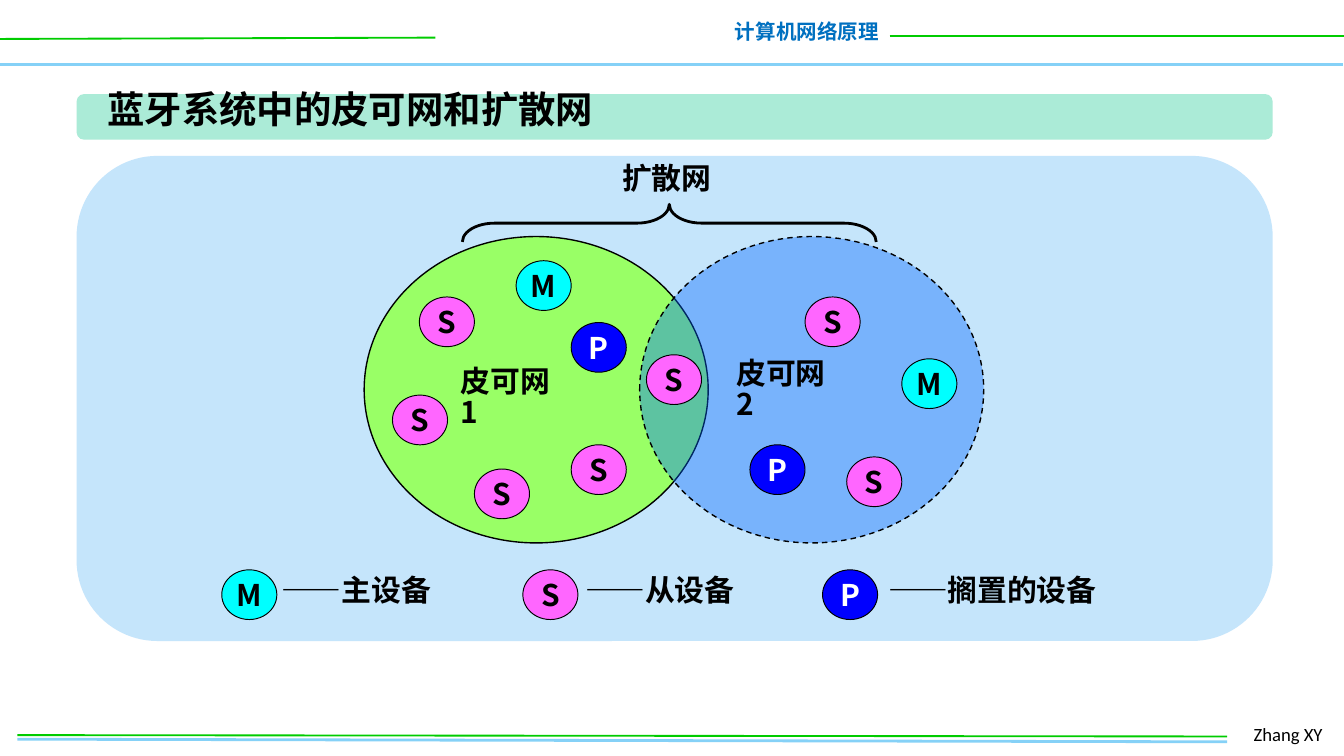
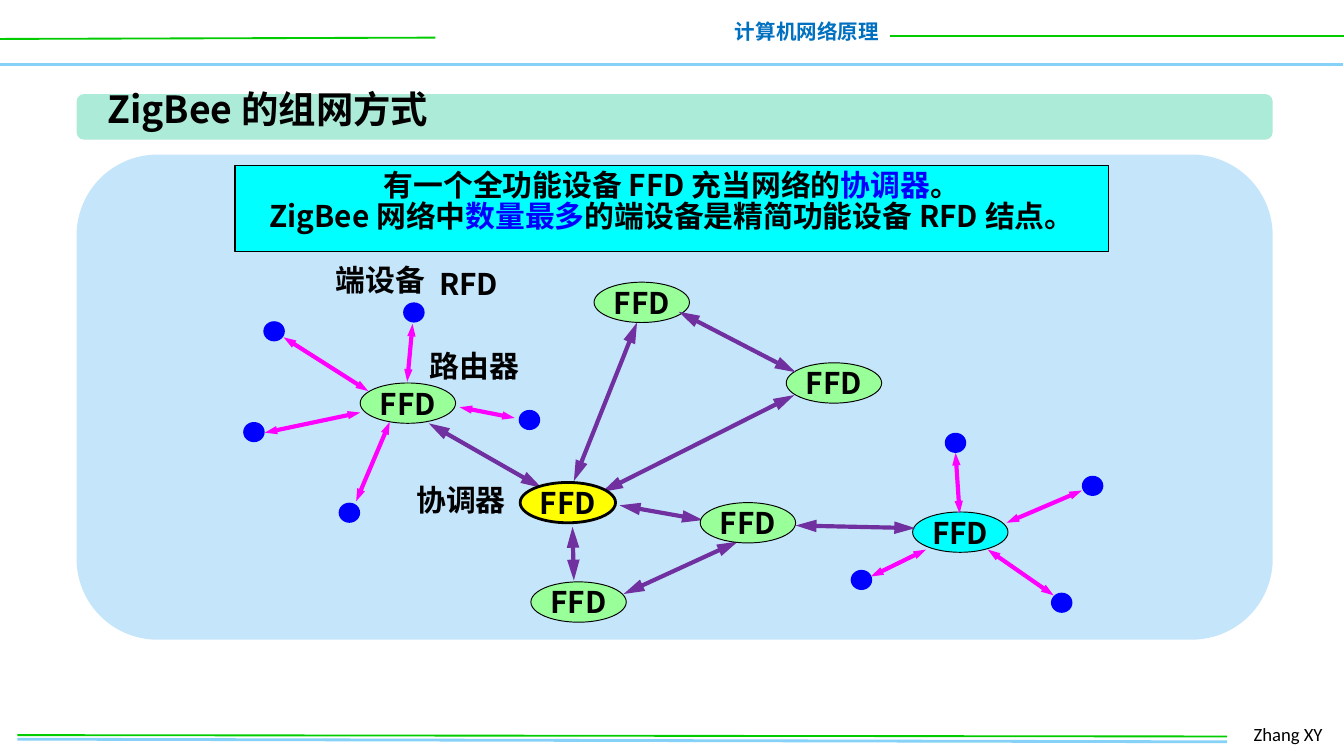
from dataclasses import dataclass

import lxml.etree
import pptx
import pptx.dml.color
import pptx.enum.dml
import pptx.enum.shapes
import pptx.enum.text
import pptx.oxml
import pptx.oxml.ns
import pptx.presentation
import pptx.shapes.autoshape
import pptx.slide
import pptx.text.text
import pptx.util

RGBColor = pptx.dml.color.RGBColor
Shape = pptx.enum.shapes.MSO_SHAPE
Align = pptx.enum.text.PP_ALIGN
Anchor = pptx.enum.text.MSO_ANCHOR
qn = pptx.oxml.ns.qn

EMU_PER_PX = 9144  # 100 px to the inch
BODY_FONT = "Noto Sans CJK SC"
FOOTER_FONT = "Calibri"
BODY_SIZE = 16
LINE_SPACING = 0.86

BLACK = RGBColor(0x00, 0x00, 0x00)
WHITE = RGBColor(0xFF, 0xFF, 0xFF)
BLUE = RGBColor(0x00, 0x00, 0xFF)
CYAN = RGBColor(0x00, 0xFF, 0xFF)
PINK = RGBColor(0xFF, 0x66, 0xFF)
MAGENTA = RGBColor(0xFF, 0x00, 0xFF)
PURPLE = RGBColor(0x70, 0x30, 0xA0)
YELLOW = RGBColor(0xFF, 0xFF, 0x00)
NODE_GREEN = RGBColor(0x99, 0xFF, 0x99)
PICONET_GREEN = RGBColor(0x99, 0xFF, 0x66)
PICONET_BLUE = RGBColor(0x00, 0x66, 0xFF)
RULE_GREEN = RGBColor(0x00, 0xCC, 0x00)
RULE_BLUE = RGBColor(0x85, 0xD1, 0xF7)
COURSE_BLUE = RGBColor(0x00, 0x70, 0xC0)
TITLE_BAND = RGBColor(0xAB, 0xEB, 0xD7)
PANEL_BLUE = RGBColor(0xC5, 0xE5, 0xFB)


@dataclass(frozen=True)
class Box:
    left: int
    top: int
    width: int
    height: int


@dataclass(frozen=True)
class Line:
    x1: int
    y1: int
    x2: int
    y2: int
    color: RGBColor
    width: float


@dataclass(frozen=True)
class Label:
    text: str
    box: Box
    size: int = BODY_SIZE
    color: RGBColor = BLACK
    align: Align = Align.LEFT


@dataclass(frozen=True)
class Device:
    letter: str
    fill: RGBColor
    color: RGBColor
    meaning: str


@dataclass(frozen=True)
class Node:
    left: int
    top: int
    fill: RGBColor = NODE_GREEN
    outline: float = 0.5


# Shared drawing helpers
def px(length: int) -> int:
    return length * EMU_PER_PX


def frame(box: Box) -> tuple[int, int, int, int]:
    return px(box.left), px(box.top), px(box.width), px(box.height)


def style_run(run: pptx.text.text._Run, size: int, color: RGBColor,
              font: str = BODY_FONT, bold: bool = True) -> None:
    run.font.size = pptx.util.Pt(size)
    run.font.bold = bold
    run.font.name = font
    run.font.color.rgb = color
    east_asian = lxml.etree.SubElement(run.font._element, qn("a:ea"))
    east_asian.set("typeface", font)


def add_shape(slide: pptx.slide.Slide, kind: Shape, box: Box,
              fill: RGBColor | None = None,
              outline: float = 0) -> pptx.shapes.autoshape.Shape:
    shape = slide.shapes.add_shape(kind, *frame(box))
    shape.shadow.inherit = False
    if fill is None:
        shape.fill.background()
    else:
        shape.fill.solid()
        shape.fill.fore_color.rgb = fill
    if outline:
        shape.line.color.rgb = BLACK
        shape.line.width = pptx.util.Pt(outline)
    else:
        shape.line.fill.background()
    return shape


def add_marked_ellipse(slide: pptx.slide.Slide, box: Box, text: str, fill: RGBColor,
                       color: RGBColor = BLACK, outline: float = 0.5) -> None:
    text_frame = add_shape(slide, Shape.OVAL, box, fill, outline).text_frame
    text_frame.word_wrap = False
    text_frame.vertical_anchor = Anchor.MIDDLE
    text_frame.text = text
    paragraph = text_frame.paragraphs[0]
    paragraph.alignment = Align.CENTER
    style_run(paragraph.runs[0], BODY_SIZE, color)


def add_label(slide: pptx.slide.Slide, label: Label) -> pptx.text.text.TextFrame:
    text_frame = slide.shapes.add_textbox(*frame(label.box)).text_frame
    text_frame.word_wrap = False
    text_frame.text = label.text
    paragraph = text_frame.paragraphs[0]
    paragraph.alignment = label.align
    paragraph.line_spacing = LINE_SPACING
    style_run(paragraph.runs[0], label.size, label.color)
    return text_frame


def add_line(slide: pptx.slide.Slide, line: Line,
             head: tuple[str, str] | None = None) -> None:
    """Draw a line; head gives the width and length of arrowheads at both ends."""
    connector = slide.shapes.add_connector(
        pptx.enum.shapes.MSO_CONNECTOR.STRAIGHT,
        px(line.x1), px(line.y1), px(line.x2), px(line.y2))
    connector.line.color.rgb = line.color
    connector.line.width = pptx.util.Pt(line.width)
    properties = connector.element.spPr
    lxml.etree.SubElement(properties, qn("a:effectLst"))
    if head:
        outline = properties.find(qn("a:ln"))
        for end in ("a:headEnd", "a:tailEnd"):
            lxml.etree.SubElement(outline, qn(end), type="triangle", w=head[0], len=head[1])


# Header and footer, kept on the layout
RULES = (
    Line(-1, 48, 999, 48, RULE_BLUE, 2),
    Line(0, 29, 324, 28, RULE_GREEN, 1),
    Line(662, 27, 1001, 27, RULE_GREEN, 1),
    Line(13, 550, 913, 552, RULE_BLUE, 1.5),
    Line(13, 547, 913, 548, RULE_GREEN, 1),
)


def furnish_layout(slide: pptx.slide.Slide) -> None:
    layout = slide.slide_layout
    for placeholder in list(layout.placeholders):
        layout.shapes.element.remove(placeholder.element)
    for rule in RULES:
        add_line(slide, rule)
    add_label(slide, Label("计算机网络原理", Box(536, 12, 128, 29), 11, COURSE_BLUE, Align.RIGHT))
    author = slide.shapes.add_textbox(*frame(Box(923, 533, 78, 27))).text_frame
    author.word_wrap = True
    author.text = "Zhang XY"
    style_run(author.paragraphs[0].runs[0], 10, BLACK, FOOTER_FONT, bold=False)
    for shape in list(slide.shapes):
        layout.shapes.element.append(shape.element)


def add_title_and_panel(slide: pptx.slide.Slide, title: str, title_width: int,
                        panel_top: int) -> None:
    add_shape(slide, Shape.ROUNDED_RECTANGLE, Box(57, 70, 890, 34), TITLE_BAND)
    add_shape(slide, Shape.ROUNDED_RECTANGLE, Box(57, panel_top, 890, 361), PANEL_BLUE)
    add_label(slide, Label(title, Box(70, 64, title_width, 44), 20))


# Slide 1: piconets and scatternet
MASTER = Device("M", CYAN, BLACK, "主设备")
SLAVE = Device("S", PINK, BLACK, "从设备")
PARKED = Device("P", BLUE, WHITE, "搁置的设备")
DEVICE_SPOTS = {
    MASTER: ((384, 194), (671, 267)),
    SLAVE: ((292, 294), (312, 221), (481, 264), (425, 331), (353, 349), (630, 340), (599, 221)),
    PARKED: ((558, 331), (425, 240)),
}
LEGEND = ((MASTER, 165, 200, 136), (SLAVE, 389, 426, 136), (PARKED, 612, 651, 181))
LEGEND_TOP = 424


def add_device(slide: pptx.slide.Slide, device: Device, left: int, top: int) -> None:
    add_marked_ellipse(slide, Box(left, top, 41, 37), device.letter, device.fill, device.color)


def build_piconets(slide: pptx.slide.Slide) -> None:
    add_title_and_panel(slide, "蓝牙系统中的皮可网和扩散网", 393, 116)
    add_shape(slide, Shape.OVAL, Box(271, 176, 256, 228), PICONET_GREEN, 0.75)
    second = add_shape(slide, Shape.OVAL, Box(476, 176, 256, 228), PICONET_BLUE, 0.75)
    second.line.dash_style = pptx.enum.dml.MSO_LINE.DASH
    fill_color = second.element.spPr.find(qn("a:solidFill"))[0]
    lxml.etree.SubElement(fill_color, qn("a:alpha"), val="39000")

    for device, spots in DEVICE_SPOTS.items():
        for left, top in spots:
            add_device(slide, device, left, top)

    # The number of each piconet falls on a second line
    for text, left, top in (("皮可网 1", 333, 269), ("皮可网 2", 538, 263)):
        text_frame = add_label(slide, Label(text, Box(left, top, 108, 37)))
        text_frame.word_wrap = True
        text_frame.margin_right = px(28)

    add_label(slide, Label("扩散网", Box(453, 118, 88, 37)))
    brace = add_shape(slide, Shape.RIGHT_BRACE, Box(484, 12, 28, 308), outline=1.5)
    brace.rotation = 270
    brace.adjustments[0] = 0.86

    for device, left, text_left, text_width in LEGEND:
        add_device(slide, device, left, LEGEND_TOP)
        add_label(slide, Label("——" + device.meaning, Box(text_left, LEGEND_TOP, text_width, 37)))


# Slide 2: ZigBee network
SUMMARY = (
    (("有一个全功能设备 FFD 充当网络的", BLACK), ("协调器", BLUE), ("。", BLACK)),
    (("ZigBee 网络中", BLACK), ("数量最多", BLUE), ("的端设备是精简功能设备 RFD 结点。", BLACK)),
)
END_DEVICES = ((300, 225), (782, 441), (633, 424), (805, 354), (703, 322),
               (196, 239), (181, 314), (252, 374), (386, 305))
ROUTERS = (Node(268, 285), Node(395, 433), Node(585, 270), Node(442, 210), Node(679, 381, CYAN))
FRONT_NODES = (Node(521, 374), Node(387, 359, YELLOW, 1.5))
BACKBONE_LINKS = ((474, 240, 427, 358), (319, 315, 403, 363), (505, 232, 592, 277),
                  (591, 294, 448, 366), (426, 392, 427, 432), (523, 387, 461, 376),
                  (681, 393, 592, 391), (549, 403, 464, 442))
END_LINKS = ((211, 251, 274, 291), (342, 303, 383, 311), (307, 241, 303, 284),
             (197, 322, 268, 307), (805, 365, 749, 389), (711, 337, 714, 382),
             (290, 314, 265, 373), (735, 409, 784, 443), (689, 409, 648, 429))
ROLE_LABELS = (("RFD", 317, 197, 66), ("端设备", 240, 194, 88),
               ("路由器", 310, 258, 88), ("协调器", 300, 357, 88))


def add_summary(slide: pptx.slide.Slide) -> None:
    text_frame = add_shape(slide, Shape.RECTANGLE, Box(175, 123, 650, 64), CYAN, 0.75).text_frame
    text_frame.word_wrap = True
    text_frame.vertical_anchor = Anchor.TOP
    text_frame.text = "\n".join("".join(text for text, _ in parts) for parts in SUMMARY)
    for paragraph, parts in zip(text_frame.paragraphs, SUMMARY):
        paragraph.alignment = Align.CENTER
        paragraph.line_spacing = LINE_SPACING
        paragraph.text = parts[0][0]
        for text, _ in parts[1:]:
            paragraph.add_run().text = text
        for run, (_, color) in zip(paragraph.runs, parts):
            style_run(run, BODY_SIZE, color)


def add_nodes(slide: pptx.slide.Slide, nodes: tuple[Node, ...]) -> None:
    for node in nodes:
        add_marked_ellipse(slide, Box(node.left, node.top, 71, 30), "FFD",
                           node.fill, outline=node.outline)


def build_zigbee(slide: pptx.slide.Slide) -> None:
    add_title_and_panel(slide, "ZigBee 的组网方式", 266, 115)
    add_summary(slide)
    for left, top in END_DEVICES:
        add_shape(slide, Shape.OVAL, Box(left, top, 16, 15), BLUE)
    add_nodes(slide, ROUTERS)
    for links, color, head in ((BACKBONE_LINKS, PURPLE, ("med", "lg")),
                               (END_LINKS, MAGENTA, ("sm", "med"))):
        for link in links:
            add_line(slide, Line(*link, color, 2.25), head)
    add_nodes(slide, FRONT_NODES)
    for text, left, top, width in ROLE_LABELS:
        add_label(slide, Label(text, Box(left, top, width, 37)))


def main() -> None:
    presentation = pptx.Presentation()
    presentation.slide_width = px(1000)
    presentation.slide_height = pptx.util.Inches(5.625)
    blank_layout = presentation.slide_layouts[6]
    piconets = presentation.slides.add_slide(blank_layout)
    furnish_layout(piconets)
    build_piconets(piconets)
    build_zigbee(presentation.slides.add_slide(blank_layout))
    presentation.save("out.pptx")


if __name__ == "__main__":
    main()
